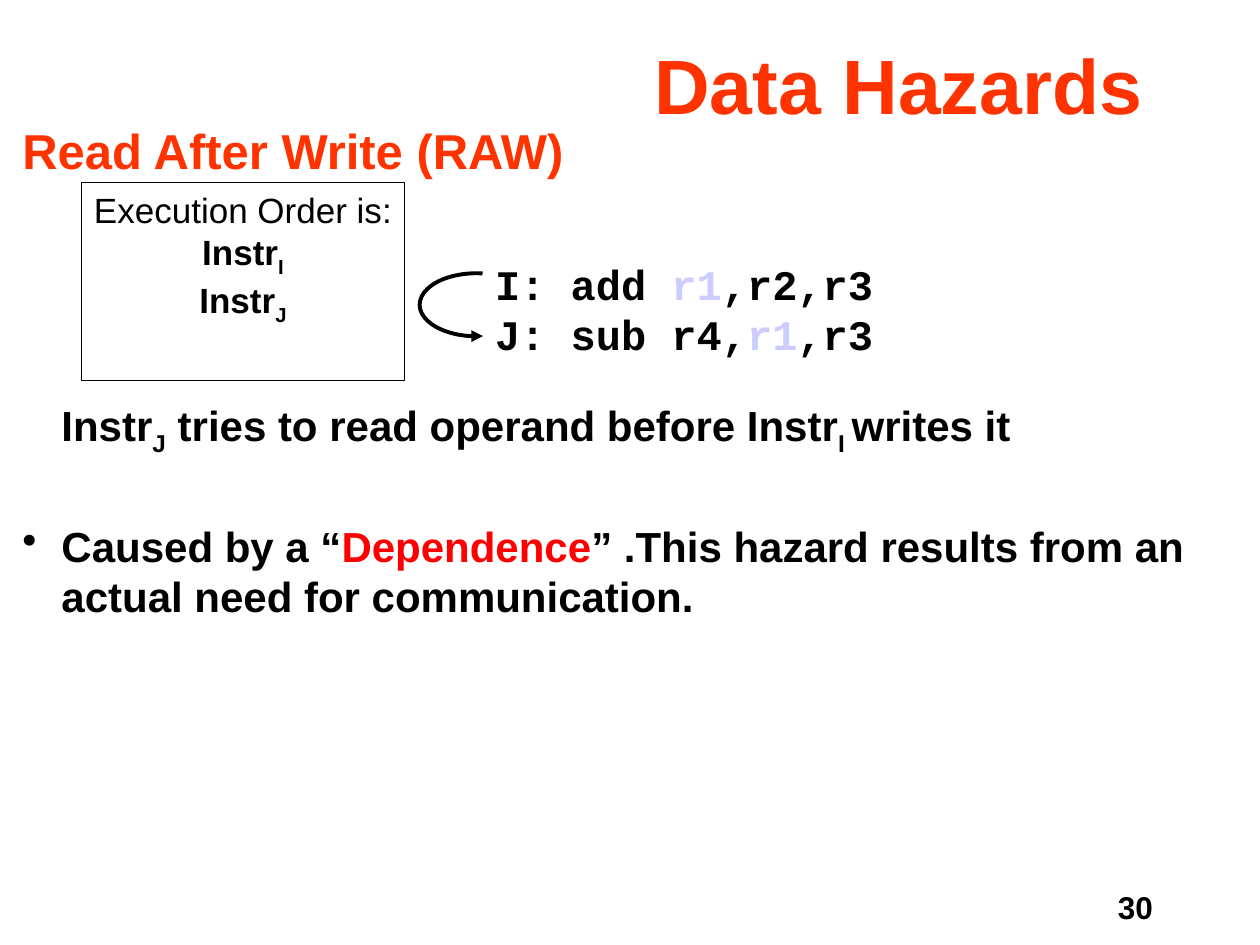
from lxml import etree
from pptx import Presentation
from pptx.dml.color import RGBColor
from pptx.enum.shapes import MSO_SHAPE
from pptx.enum.text import MSO_ANCHOR, MSO_AUTO_SIZE, PP_ALIGN
from pptx.oxml.ns import qn
from pptx.util import Cm, Pt

RECT, ARC = MSO_SHAPE.RECTANGLE, MSO_SHAPE.ARC
TOP, MIDDLE = MSO_ANCHOR.TOP, MSO_ANCHOR.MIDDLE
LEFT, RIGHT, CENTER = PP_ALIGN.LEFT, PP_ALIGN.RIGHT, PP_ALIGN.CENTER
NONE = MSO_AUTO_SIZE.NONE
BLACK = RGBColor(0x00, 0x00, 0x00)
WHITE = RGBColor(0xFF, 0xFF, 0xFF)
ORANGE = RGBColor(0xFF, 0x33, 0x00)
RED = RGBColor(0xFF, 0x00, 0x00)
LILAC = RGBColor(0xCC, 0xCC, 0xFF)


def write(par, text, size=24, color=BLACK, bold=True, face="Arial", sub=False):
    run = par.add_run()
    run.text = text
    font = run.font
    font.size, font.bold, font.name = Pt(size), bold, face
    font.color.rgb = color
    if sub:
        font._element.set("baseline", "-25000")


def setup(shape, align=LEFT, anchor=TOP, wrap=True):
    frame = shape.text_frame
    frame.auto_size, frame.word_wrap = NONE, wrap
    frame.vertical_anchor = anchor
    frame.paragraphs[0].alignment = align
    return frame


deck = Presentation()
deck.slide_width, deck.slide_height = Cm(25.4), Cm(19.05)
slide = deck.slides.add_slide(deck.slide_layouts[5])
shapes = slide.shapes

title = shapes.title
title.left, title.top, title.width, title.height = Cm(10.59), Cm(0.64), Cm(12.7), Cm(2.11)
frame = setup(title, RIGHT, MIDDLE)
write(frame.paragraphs[0], "Data Hazards", size=44, color=ORANGE)

number = shapes.add_textbox(Cm(18.21), Cm(17.78), Cm(5.28), Cm(1.27))
frame = setup(number, RIGHT)
write(frame.paragraphs[0], "30", size=18)

body = shapes.add_textbox(Cm(0.2), Cm(2.54), Cm(24.77), Cm(13.77))
frame = setup(body)
head = frame.paragraphs[0]
head.line_spacing = 0.8
write(head, "Read After Write (RAW)", size=28, color=ORANGE)

claim = frame.add_paragraph()
claim.line_spacing, claim.space_before = 0.8, Pt(129)
claim._p.get_or_add_pPr().set("marL", str(Cm(0.79)))
for text, sub in [("Instr", False), ("J", True),
                  (" tries to read operand before Instr", False),
                  ("I ", True), ("writes it", False)]:
    write(claim, text, sub=sub)

cause = frame.add_paragraph()
props = cause._p.get_or_add_pPr()
props.set("marL", str(Cm(0.79)))
props.set("indent", str(-Cm(0.79)))
etree.SubElement(props, qn("a:buChar")).set("char", "•")
cause.space_before = Pt(39.6)
for text, color in [("Caused by a “", BLACK), ("Dependence", RED),
                    ("” .This hazard results from an actual need for communication.", BLACK)]:
    write(cause, text, color=color)

order = shapes.add_shape(RECT, Cm(1.65), Cm(3.68), Cm(6.5), Cm(3.99))
order.shadow.inherit = False
order.fill.background()
order.line.color.rgb, order.line.width = BLACK, Pt(0.75)
frame = setup(order, CENTER, wrap=False)
write(frame.paragraphs[0], "Execution Order is:", size=20, bold=False)
for mark in "IJ":
    par = frame.add_paragraph()
    par.alignment = CENTER
    write(par, "Instr", size=20)
    write(par, mark, size=20, sub=True)

code = shapes.add_shape(RECT, Cm(9.73), Cm(5.08), Cm(9.32), Cm(2.29))
code.shadow.inherit = False
code.fill.solid()
code.fill.fore_color.rgb = WHITE
code.line.fill.background()
frame = setup(code)
for par, start, end in [(frame.paragraphs[0], "I: add ", ",r2,r3"),
                        (frame.add_paragraph(), "J: sub r4,", ",r3")]:
    par.alignment = LEFT
    for text, color in [(start, BLACK), ("r1", LILAC), (end, BLACK)]:
        write(par, text, color=color, face="Courier New")

loop = shapes.add_shape(ARC, Cm(8.46), Cm(5.51), Cm(2.29), Cm(1.27))
loop.shadow.inherit = False
loop.adjustments[0], loop.adjustments[1] = 78 * 0.6, 281 * 0.6
loop.fill.background()
loop.line.color.rgb, loop.line.width = BLACK, Pt(2.25)
etree.SubElement(loop.line._get_or_add_ln(), qn("a:headEnd")).set("type", "triangle")

deck.save("out.pptx")
